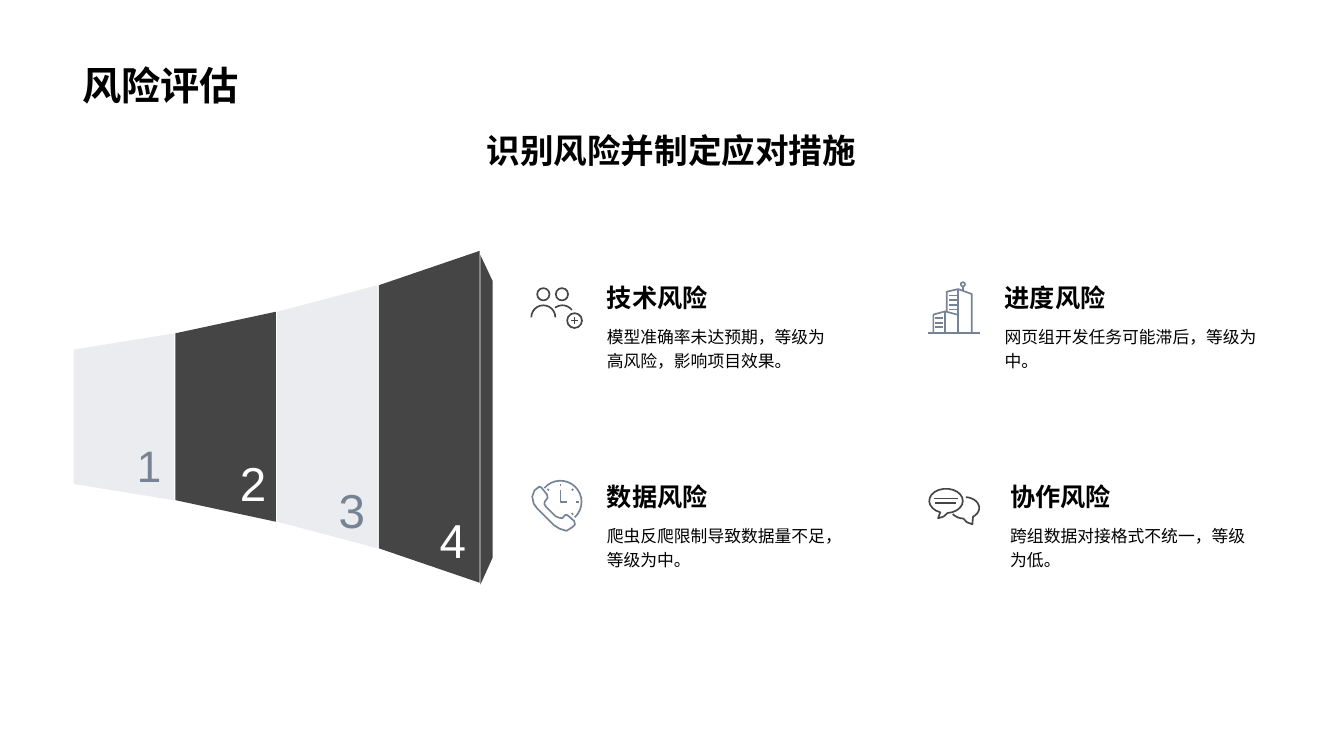
from math import cos, radians, sin

from lxml import etree
from pptx import Presentation
from pptx.dml.color import RGBColor
from pptx.enum.text import MSO_ANCHOR as Anchor, PP_ALIGN as Align
from pptx.oxml.ns import qn
from pptx.util import Pt

DARK, SLATE, BLACK, WHITE = "454545", "768394", "000000", "FFFFFF"
STROKE = 1.2


def rgb(color):
    return RGBColor.from_string(color)


def add_text(slide, text, left, top, width, height, size=12, color=BLACK, bold=False,
             align=Align.LEFT, anchor=Anchor.TOP, spacing=None):
    frame = slide.shapes.add_textbox(Pt(left), Pt(top), Pt(width), Pt(height)).text_frame
    frame.word_wrap = True
    frame.vertical_anchor = anchor
    paragraph = frame.paragraphs[0]
    paragraph.alignment = align
    paragraph.line_spacing = spacing
    run = paragraph.add_run()
    run.text = text
    run.font.name = "Arial"
    run.font.size = Pt(size)
    run.font.bold = bold
    run.font.color.rgb = rgb(color)


def add_outline(slide, contours, left=0, top=0):
    """One freeform of several contours; a contour ending where it began is closed."""
    builder = None
    for contour in contours:
        start, *rest = [(Pt(left + x), Pt(top + y)) for x, y in contour]
        if builder is None:
            builder = slide.shapes.build_freeform(*start)
        else:
            builder.move_to(*start)
        closed = rest[-1] == start
        builder.add_line_segments(rest[:-1] if closed else rest, close=closed)
    outline = builder.convert_to_shape()
    outline.shadow.inherit = False
    return outline


def add_panel(slide, corners, color, opacity=100):
    panel = add_outline(slide, [corners + corners[:1]])
    panel.fill.solid()
    panel.fill.fore_color.rgb = rgb(color)
    panel.line.fill.background()
    if opacity < 100:
        tint = panel.fill._xPr.find(qn("a:solidFill"))[0]
        etree.SubElement(tint, qn("a:alpha"), val=str(opacity * 1000))


def add_icon(slide, contours, left, top, color):
    icon = add_outline(slide, contours, left, top)
    icon.fill.background()
    icon.line.color.rgb = rgb(color)
    icon.line.width = Pt(STROKE)


def arc(cx, cy, rx, ry, start, end, steps=12):
    """Points along an ellipse, angles in degrees clockwise from the right."""
    angles = [radians(start + (end - start) * i / steps) for i in range(steps + 1)]
    return [(cx + rx * cos(a), cy + ry * sin(a)) for a in angles]


def circle(cx, cy, r):
    return arc(cx, cy, r, r, 0, 360)


def level(y, x1, x2):
    return [(x1, y), (x2, y)]


def people():
    return [circle(9.4, 5, 4.4), circle(22.7, 5, 4.4),
            arc(9.4, 21.5, 8.6, 8.6, 180, 360), arc(23, 21.5, 8.6, 8.6, 233, 322),
            circle(31.7, 23.8, 5.3),
            level(23.8, 29.2, 34.2), [(31.7, 21.3), (31.7, 26.3)]]


def buildings():
    return [level(37, 0, 37),
            [(3.6, 37), (3.6, 23.8), (12, 21.5), (21.3, 24)],
            [(13.2, 21.5), (13.2, 7.5), (21.3, 5.6), (31, 9.1), (31, 37)],
            [(21.3, 5.6), (21.3, 37)], [(12, 21.5), (12, 37)],
            *[level(y, 15.1, 20.2) for y in (10.2, 13.4, 16.8, 20.2)],
            *[level(y, 5, 10.8) for y in (26.3, 29.6, 32.9)],
            circle(24.7, 2.2, 1.5), [(24.7, 3.7), (24.7, 7)]]


def phone_clock():
    cx, cy = 21.6, 15.8
    ticks = [[(cx + r * cos(radians(angle)), cy + r * sin(radians(angle))) for r in (11.5, 13)]
             for angle in (-135, -90, -45, 0, 45)]
    handset = [(6.5, 5), (3.2, 7.5), (1.5, 12), (2.5, 17), (5, 20.5), (17, 32.5), (21, 35),
               (26, 36.5), (30, 34), (32, 32), (31.5, 29.5), (26.5, 25.2), (25, 25.2),
               (23, 27.5), (20, 27), (18, 26), (11.5, 19.5), (10.2, 17.5), (10.5, 15.5),
               (12.5, 13), (12, 10.5), (8, 5.5), (6.5, 5)]
    return [arc(cx, cy, 15.1, 15.1, 221, 407, 16), [(cx, 7), (cx, cy), (26.5, cy)],
            *ticks, handset]


def chat():
    front = arc(12.7, 9.3, 12, 8.7, 110, 445, 20) + [(11, 20.5), (7, 21.7)]
    back = (arc(26, 14.3, 10.4, 7.7, -85, 55) + [(31.5, 26), (27.5, 24.5)]
            + arc(26, 14.3, 10.4, 7.7, 95, 145, 4))
    return [front + front[:1], back, level(7.6, 4, 21), level(10.8, 5, 20)]


def add_funnel(slide):
    left, pitch, width, middle = 52.6, 72.7, 71.8, 297.7
    half_heights = [48, 59.6, 75, 94, 118.5]
    for i, (near, far) in enumerate(zip(half_heights, half_heights[1:])):
        x = left + i * pitch
        corners = [(x, middle - near), (x + width, middle - far),
                   (x + width, middle + far), (x, middle + near)]
        add_panel(slide, corners, *((DARK, 100) if i % 2 else (SLATE, 15)))
    add_panel(slide, [(343.2, 182.2), (352, 200.9), (352, 398.2), (343.2, 417.6)], DARK)

    numbers = [("1", 90.7, 309.6, 40.3, 31.4, SLATE), ("2", 164.2, 320.4, 48.2, 34, WHITE),
               ("3", 234.9, 339.8, 51.8, 34, SLATE), ("4", 306.9, 361.4, 57.6, 34, WHITE)]
    for number, x, y, height, size, color in numbers:
        add_text(slide, number, x, y, 55.4, height, size=size, color=color)


def add_risk(slide, heading, detail, left, top, width):
    add_text(slide, heading, left, top, width, 48.2, size=18, bold=True, anchor=Anchor.BOTTOM)
    add_text(slide, detail, left, top + 48.2, width, 69, spacing=1.2)


def main():
    deck = Presentation()
    deck.slide_width, deck.slide_height = Pt(960), Pt(540)
    slide = deck.slides.add_slide(deck.slide_layouts[6])

    add_text(slide, "风险评估", 51.8, 10.1, 855.4, 70.6, size=28, bold=True, anchor=Anchor.BOTTOM)
    add_text(slide, "识别风险并制定应对措施", 51.8, 89.3, 855.4, 36, size=24, bold=True,
             align=Align.CENTER)
    add_funnel(slide)

    upper, lower = 178.6, 320.8
    add_risk(slide, "技术风险", "模型准确率未达预期，等级为高风险，影响项目效果。", 426.4, upper, 180.7)
    add_risk(slide, "进度风险", "网页组开发任务可能滞后，等级为中。", 710.6, upper, 197.3)
    add_risk(slide, "数据风险", "爬虫反爬限制导致数据量不足，等级为中。", 426.4, lower, 180.7)
    add_risk(slide, "协作风险", "跨组数据对接格式不统一，等级为低。", 714.5, lower, 193)

    add_icon(slide, people(), 378.7, 205.2, DARK)
    add_icon(slide, buildings(), 663.1, 200.9, SLATE)
    add_icon(slide, phone_clock(), 378.7, 342.7, SLATE)
    add_icon(slide, chat(), 663.1, 348.5, DARK)
    deck.save("out.pptx")


if __name__ == "__main__":
    main()
